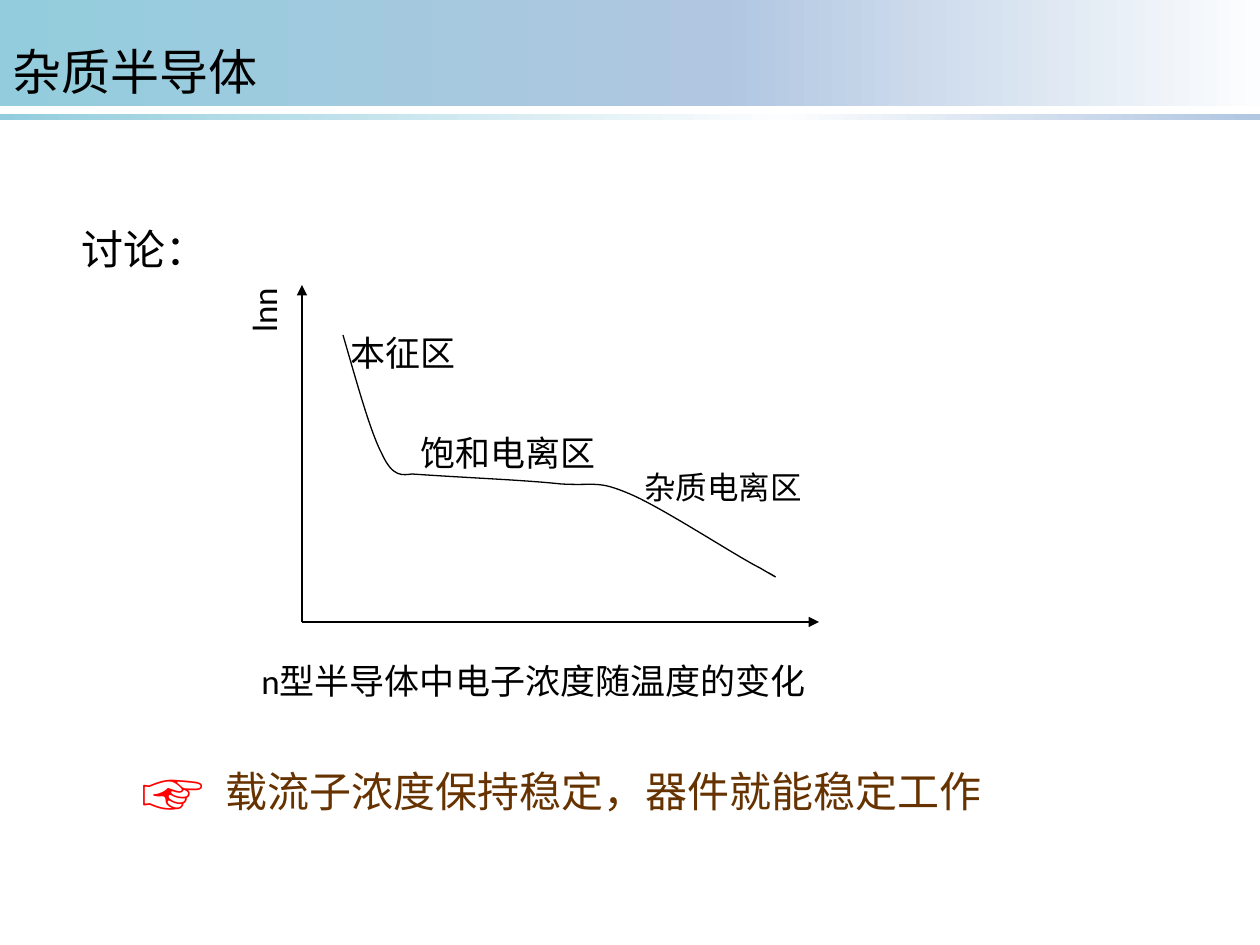
from lxml.etree import SubElement
from pptx import Presentation
from pptx.dml.color import RGBColor
from pptx.enum.shapes import MSO_CONNECTOR, MSO_SHAPE
from pptx.enum.text import MSO_ANCHOR, PP_ALIGN
from pptx.oxml.ns import qn
from pptx.util import Emu, Pt

EMU_PER_PX = 914400 / 126
COLORS = {"black": "000000", "brown": "663300", "red": "FF0000",
          "aqua": "93CDDD", "blue": "B0C6E1", "pale": "FCFDFE"}
CJK = "Noto Sans CJK SC"
LATIN = "Calibri"


def px(value):
    return Emu(round(value * EMU_PER_PX))


def rgb(name):
    return RGBColor.from_string(COLORS[name])


def place(shape, box):
    for name, value in zip(("left", "top", "width", "height"), box):
        setattr(shape, name, px(value))


def write_text(shape, text, size, font=CJK, color="black", wrap=True, anchor=MSO_ANCHOR.TOP):
    frame = shape.text_frame
    for name, value in {"word_wrap": wrap, "vertical_anchor": anchor}.items():
        setattr(frame, name, value)
    paragraph = frame.paragraphs[0]
    paragraph.alignment = PP_ALIGN.LEFT
    run = paragraph.add_run()
    run.text = text
    for name, value in {"name": font, "size": Pt(size), "bold": False}.items():
        setattr(run.font, name, value)
    run.font.color.rgb = rgb(color)
    SubElement(run.font._element, qn("a:ea"), typeface=CJK)


def add_text(slide, box, text, size, **options):
    shape = slide.shapes.add_textbox(*map(px, box))
    write_text(shape, text, size, **options)
    return shape


def add_gradient_bar(slide, box, stops):
    shape = slide.shapes.add_shape(MSO_SHAPE.RECTANGLE, *map(px, box))
    shape.shadow.inherit = False
    shape.line.fill.background()
    shape.fill.gradient()
    shape.fill.gradient_angle = 0
    stop_list = shape._element.find(".//" + qn("a:gsLst"))
    stop_list.clear()
    for percent, color in stops:
        stop = SubElement(stop_list, qn("a:gs"), pos=str(percent * 1000))
        SubElement(stop, qn("a:srgbClr"), val=COLORS[color])


def style_line(shape):
    shape.line.color.rgb = rgb("black")
    shape.line.width = Pt(0.75)


def add_axis(slide, start, end):
    axis = slide.shapes.add_connector(MSO_CONNECTOR.STRAIGHT, *map(px, start + end))
    style_line(axis)
    SubElement(axis.line._get_or_add_ln(), qn("a:tailEnd"), type="triangle")
    SubElement(axis._element.spPr, qn("a:effectLst"))


def add_curve(slide, start, points):
    """Draw cubic segments; points holds two controls and an end for each."""
    builder = slide.shapes.build_freeform(*start, scale=EMU_PER_PX)
    builder.add_line_segments(points, close=False)
    curve = builder.convert_to_shape()
    curve.shadow.inherit = False
    curve.fill.background()
    style_line(curve)
    # Gather each three straight segments into one cubic segment
    segments = curve._element.xpath(".//a:lnTo")
    outline = segments[0].getparent()
    for first in range(0, len(segments), 3):
        cubic = SubElement(outline, qn("a:cubicBezTo"))
        for segment in segments[first:first + 3]:
            cubic.append(segment[0])
            outline.remove(segment)


def add_header(slide):
    add_gradient_bar(slide, (0, 114, 1260, 6), [(0, "aqua"), (62, "pale"), (100, "blue")])
    add_gradient_bar(slide, (0, 0, 1260, 106), [(0, "aqua"), (57, "blue"), (100, "pale")])
    title = slide.shapes.title
    place(title, (0, 34, 1008, 73))
    write_text(title, "杂质半导体", 28, anchor=MSO_ANCHOR.MIDDLE)
    slide.shapes._spTree.append(title._element)  # in front of the bars


def add_diagram(slide):
    origin = (302, 622)
    add_axis(slide, origin, (302, 285))
    add_axis(slide, origin, (819, 622))

    # Intrinsic region, then saturation and impurity ionization
    knee = (412, 474)
    add_curve(slide, (343, 335), [(357, 383), (370, 431), (382, 454),
                                  (393, 478), (403, 475), knee])
    add_curve(slide, knee, [(469, 478), (524, 480), (561, 484),
                            (597, 486), (597, 480), (630, 494),
                            (663, 508), (736, 556), (760, 568),
                            (782, 581), (776, 577), (769, 573)])

    axis_label = add_text(slide, (236, 266, 67, 79), "lnn", 20, font=LATIN)
    axis_label.rotation = 180
    axis_label.text_frame._txBody.bodyPr.set("vert", "eaVert")

    labels = [((338, 325, 137, 54), "本征区", 20),
              ((408, 425, 280, 54), "饱和电离区", 20),
              ((632, 462, 205, 50), "杂质电离区", 18),
              ((249, 653, 843, 54), "n型半导体中电子浓度随温度的变化", 20)]
    for box, text, size in labels:
        add_text(slide, box, text, size, font=LATIN)


def main():
    presentation = Presentation()
    presentation.slide_width, presentation.slide_height = px(1260), px(945)
    slide = presentation.slides.add_slide(presentation.slide_layouts[5])
    add_header(slide)
    # Conclusion with its pointing hand
    add_text(slide, (213, 759, 922, 63), "载流子浓度保持稳定，器件就能稳定工作", 24, color="brown")
    add_text(slide, (129, 748, 84, 88), "☞", 36, color="red", wrap=False)
    add_diagram(slide)
    add_text(slide, (69, 217, 152, 63), "讨论：", 24, wrap=False)
    presentation.save("out.pptx")


if __name__ == "__main__":
    main()
